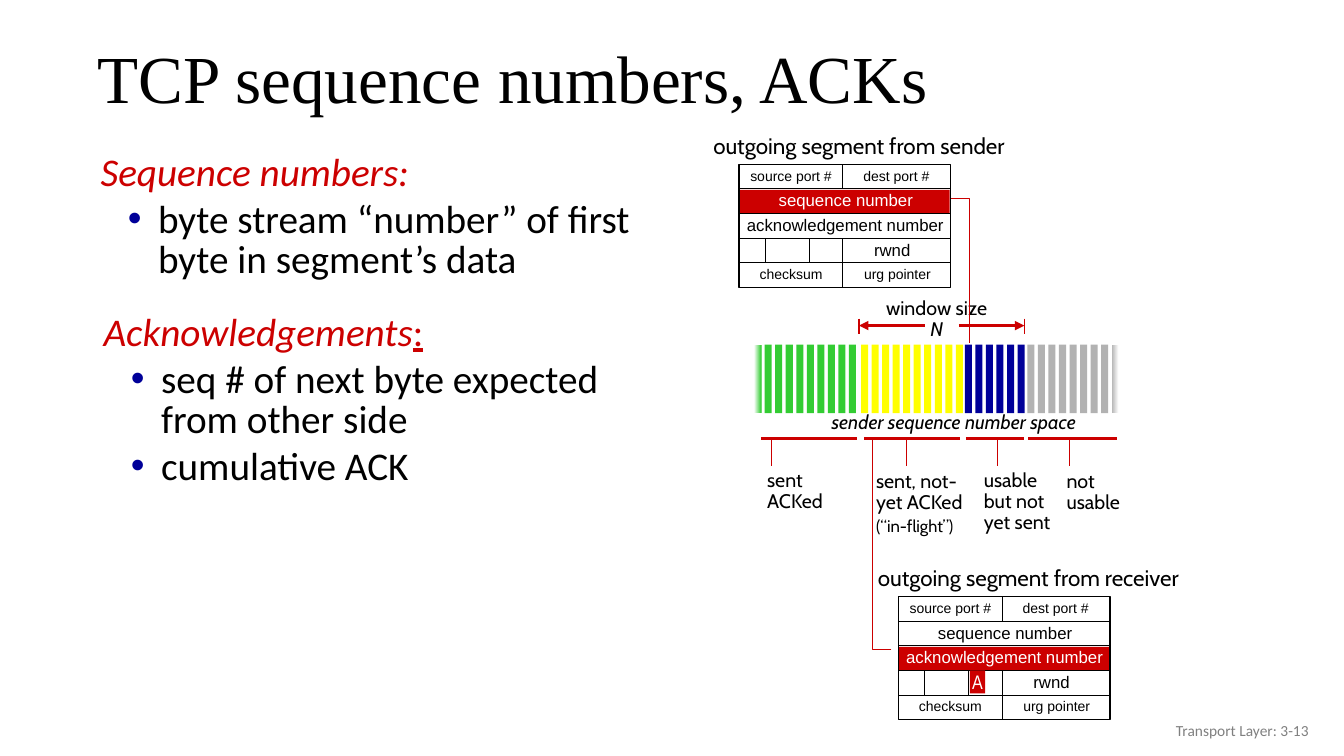
from dataclasses import dataclass
from typing import NamedTuple

from lxml import etree
from pptx import Presentation
from pptx.dml.color import RGBColor
from pptx.enum.shapes import MSO_CONNECTOR, MSO_SHAPE
from pptx.enum.text import MSO_ANCHOR, PP_ALIGN
from pptx.oxml.ns import qn
from pptx.util import Emu, Inches, Pt

RECT, STRAIGHT = MSO_SHAPE.RECTANGLE, MSO_CONNECTOR.STRAIGHT
LEFT, CENTER, RIGHT = PP_ALIGN.LEFT, PP_ALIGN.CENTER, PP_ALIGN.RIGHT
TOP, MIDDLE = MSO_ANCHOR.TOP, MSO_ANCHOR.MIDDLE

BLACK = RGBColor(0x00, 0x00, 0x00)
WHITE = RGBColor(0xFF, 0xFF, 0xFF)
RED = RGBColor(0xCC, 0x00, 0x00)
GREEN = RGBColor(0x33, 0xCC, 0x33)
YELLOW = RGBColor(0xFF, 0xFF, 0x00)
BLUE = RGBColor(0x00, 0x00, 0x99)
SILVER = RGBColor(0xB2, 0xB2, 0xB2)
GRAY = RGBColor(0x80, 0x80, 0x80)

deck = Presentation()
deck.slide_width, deck.slide_height = Inches(13.33), Inches(7.5)
COLS, ROWS = 1333, 750  # grid that all places and sizes are counted in
slide = deck.slides.add_slide(deck.slide_layouts[5])
shapes = slide.shapes


class Box(NamedTuple):
    x: float
    y: float
    w: float
    h: float


class Point(NamedTuple):
    x: float
    y: float


@dataclass
class Para:
    text: str
    tail: str = ""  # underlined, upright ending
    size: float | None = None
    color: RGBColor | None = None
    italic: bool = False
    before: float = 0
    indent: tuple[float, float] | None = None
    bullet: bool = False


@dataclass
class Band:
    """A run of equal bars, with the brace and label below it."""
    start: float
    count: int
    color: RGBColor
    brace: tuple[float, float]
    tick: float
    label: Box
    paras: list[Para]


class Field(NamedTuple):
    text: str
    row: int
    mid: float
    width: float
    size: float


@dataclass
class Segment:
    x: float
    y: float
    title: str
    mid: float  # centre of the title
    hot: int
    wire: list[Point]


def col(n: float) -> Emu:
    return Emu(round(deck.slide_width * n / COLS))


def row(n: float) -> Emu:
    return Emu(round(deck.slide_height * n / ROWS))


def span(box: Box) -> tuple[Emu, Emu, Emu, Emu]:
    return col(box.x), row(box.y), col(box.w), row(box.h)


def write(shape, *paras: Para, font: str = "Cabin", size: float = 14,
          color: RGBColor = BLACK, align=LEFT, anchor=TOP,
          wrap: bool = True, lead: float = 1.0) -> None:
    frame = shape.text_frame
    frame.word_wrap, frame.vertical_anchor = wrap, anchor
    for i, item in enumerate(paras):
        para = frame.add_paragraph() if i else frame.paragraphs[0]
        para.alignment, para.line_spacing = align, lead
        para.space_before = Pt(item.before)
        props = para._p.get_or_add_pPr()
        if item.indent:
            margin, first = item.indent
            props.set("marL", str(Inches(margin)))
            props.set("indent", str(Inches(first)))
        if item.bullet:
            tint = etree.SubElement(props, qn("a:buClr"))
            etree.SubElement(tint, qn("a:srgbClr"), val=str(BLUE))
            etree.SubElement(props, qn("a:buFont"), typeface="Arial")
            etree.SubElement(props, qn("a:buChar"), char="•")
        for text in filter(None, (item.text, item.tail)):
            run = para.add_run()
            run.text = text
            run.font.name, run.font.size = font, Pt(item.size or size)
            run.font.color.rgb = item.color or color
            run.font.italic = item.italic and text != item.tail
            if text == item.tail:
                run.font.underline = True


def label(box: Box, *paras: Para, **style) -> None:
    write(shapes.add_textbox(*span(box)), *paras, **style)


def block(box: Box, fill: RGBColor | None = None, edge: RGBColor | None = None):
    shape = shapes.add_shape(RECT, *span(box))
    shape.shadow.inherit = False
    if fill is None:
        shape.fill.background()
    else:
        shape.fill.solid()
        shape.fill.fore_color.rgb = fill
    if edge is None:
        shape.line.fill.background()
    else:
        shape.line.color.rgb, shape.line.width = edge, Pt(0.75)
    return shape


def fade(shape, *colors: RGBColor) -> None:
    shape.fill.gradient()
    shape.fill.gradient_angle = 0
    for stop, color in zip(shape.fill.gradient_stops, colors):
        stop.color.rgb = color


def line(x1: float, y1: float, x2: float, y2: float, color: RGBColor = RED,
         width: float = 0.75, arrow: bool = False) -> None:
    rule = shapes.add_connector(STRAIGHT, col(x1), row(y1), col(x2), row(y2))
    rule.line.color.rgb, rule.line.width = color, Pt(width)
    if arrow:
        etree.SubElement(rule.line._get_or_add_ln(), qn("a:tailEnd"), type="triangle")
    etree.SubElement(rule._element.spPr, qn("a:effectLst"))


def bend(points: list[Point]) -> None:
    """Draw an open line through the points."""
    first, *rest = [(col(p.x), row(p.y)) for p in points]
    pen = shapes.build_freeform(*first)
    pen.add_line_segments(rest, close=False)
    shape = pen.convert_to_shape()
    shape.shadow.inherit = False
    shape.fill.background()
    shape.line.color.rgb, shape.line.width = RED, Pt(0.75)


WIDE, STEP, HALF = 210, 24.4, 103
FIELDS = [
    Field("source port #", 0, 51.5, 101, 10), Field("dest port #", 0, 156, 101, 10),
    Field("sequence number", 1, 106, 158, 12),
    Field("acknowledgement number", 2, 105.5, 230, 12),
    Field("rwnd", 3, 152, 70, 12),
    Field("checksum", 4, 51.5, 101, 10), Field("urg pointer", 4, 157, 101, 10),
]


def header(seg: Segment) -> None:
    x, y = seg.x, seg.y
    block(Box(x, y + seg.hot * STEP + 1, WIDE - 1, 23), RED)
    block(Box(x, y, WIDE, 5 * STEP), edge=BLACK)
    for i in range(1, 5):
        line(x, y + i * STEP, x + WIDE, y + i * STEP, BLACK)
    for dx, top, end in [(HALF, 0, 1), (HALF, 3, 5), (26, 3, 4), (70, 3, 4)]:
        line(x + dx, y + top * STEP, x + dx, y + end * STEP, BLACK)
    for item in FIELDS:
        tall = 27 if item.size == 10 else 30
        mid = y + (item.row + 0.5) * STEP - 1
        label(Box(x + item.mid - item.width / 2, mid - tall / 2, item.width, tall),
              Para(item.text), font="Arial", size=item.size, align=CENTER,
              anchor=MIDDLE, wrap=False, color=WHITE if item.row == seg.hot else BLACK)
    label(Box(seg.mid - 169, y - 37, 338, 37), Para(seg.title), size=16,
          align=CENTER, wrap=False)
    bend(seg.wire)


BANDS = [
    Band(748, 10, GREEN, (755, 850), 765, Box(751, 462, 85, 52),
         [Para("sent"), Para("ACKed")]),
    Band(854, 10, YELLOW, (857, 952), 899, Box(859, 463, 125, 75),
         [Para("sent, not-yet ACKed"), Para("(“in-flight”)", size=12, before=3)]),
    Band(957, 6, BLUE, (958, 1016), 989, Box(966, 462, 117, 73),
         [Para("usable"), Para("but not"), Para("yet sent")]),
    Band(1019, 9, SILVER, (1020, 1108), 1061, Box(1048, 463, 90, 52),
         [Para("not"), Para("usable")]),
]
SEGMENTS = [
    Segment(733, 163, "outgoing segment from sender", 852, 1,
            [Point(943, 197), Point(962, 197), Point(962, 340)]),
    Segment(891, 592, "outgoing segment from receiver", 1020, 2,
            [Point(884, 644), Point(865, 644), Point(865, 436)]),
]
HEAD = dict(color=RED, italic=True, indent=(0.26, -0.14))
ITEM = dict(before=5, indent=(0.69, -0.3), bullet=True)
BODY = dict(font="Calibri", size=28, lead=0.85)

title = shapes.title
title.left, title.top, title.width, title.height = span(Box(87, 32, 1246, 98))
write(title, Para("TCP sequence numbers, ACKs"), font="Times New Roman", size=48,
      anchor=MIDDLE, lead=0.9)

label(Box(78, 148, 557, 143), Para("Sequence numbers:", **HEAD),
      Para("byte stream “number” of first byte in segment’s data", **ITEM), **BODY)
label(Box(81, 307, 557, 193), Para("Acknowledgements", tail=":", **HEAD),
      Para("seq # of next byte expected from other side", **ITEM),
      Para("cumulative ACK", **ITEM), **BODY)

for band in BANDS:
    bars = [block(Box(band.start + i * 10.45, 342, 7, 68), band.color)
            for i in range(band.count)]
    if band is BANDS[0]:
        fade(bars[0], WHITE, GREEN)
    if band is BANDS[-1]:
        fade(bars[-1], SILVER, WHITE)
    line(band.brace[0], 435, band.brace[1], 435, width=2.25)
    line(band.tick, 437, band.tick, 462)
    label(band.label, *band.paras, lead=0.9)

label(Box(867, 291, 124, 52), Para("window size"), Para("N", italic=True),
      align=CENTER, wrap=False, lead=0.9)
for inner, outer in [(951, 1016), (917, 852)]:
    line(inner, 323, outer, 323, width=2.25, arrow=True)
    line(outer, 316, outer, 331)
label(Box(772, 402, 348, 33), Para("sender sequence number space", italic=True),
      align=CENTER, wrap=False)

for seg in SEGMENTS:
    header(seg)
flag = block(Box(962, 665, 15, 23), RED)
write(flag, Para("A"), font="Arial Narrow", color=WHITE, align=CENTER,
      anchor=MIDDLE, wrap=False)

label(Box(1008, 705, 300, 40), Para("Transport Layer: 3-13"), font="Calibri",
      size=11, color=GRAY, align=RIGHT, anchor=MIDDLE)

deck.save("out.pptx")
